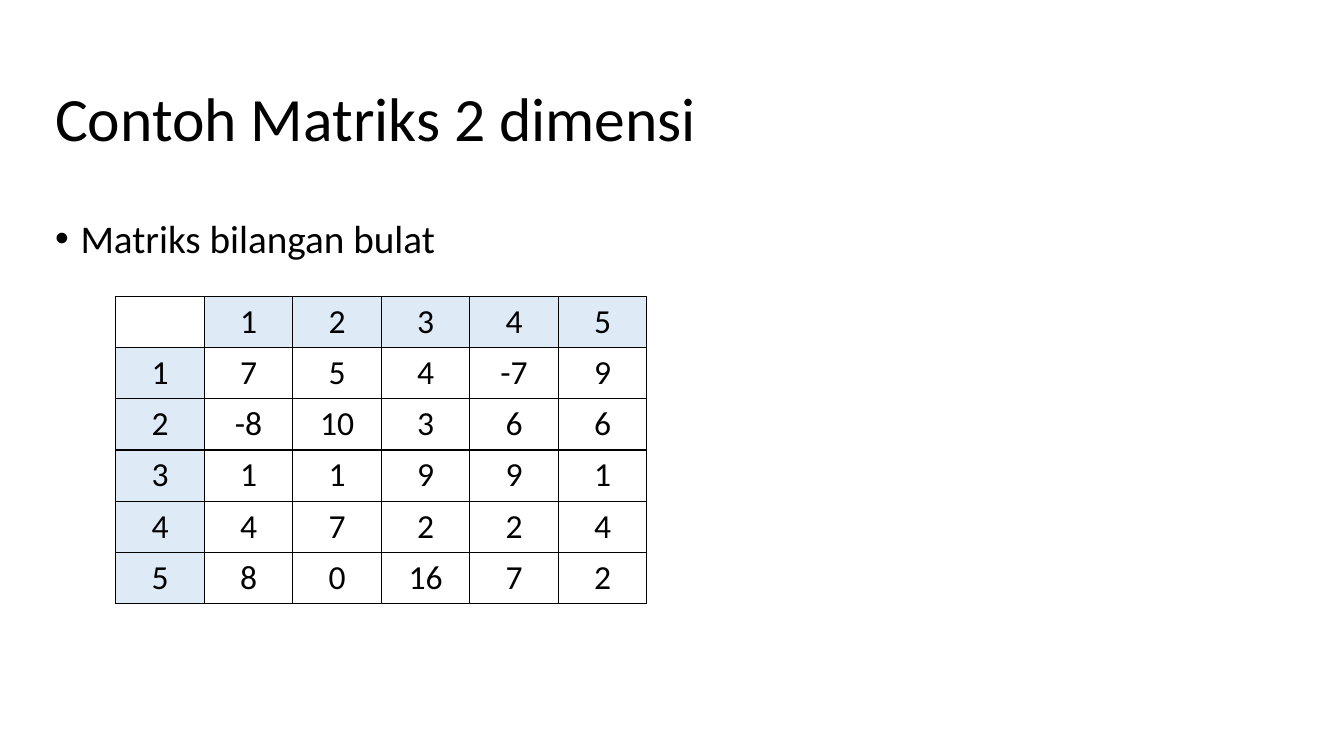
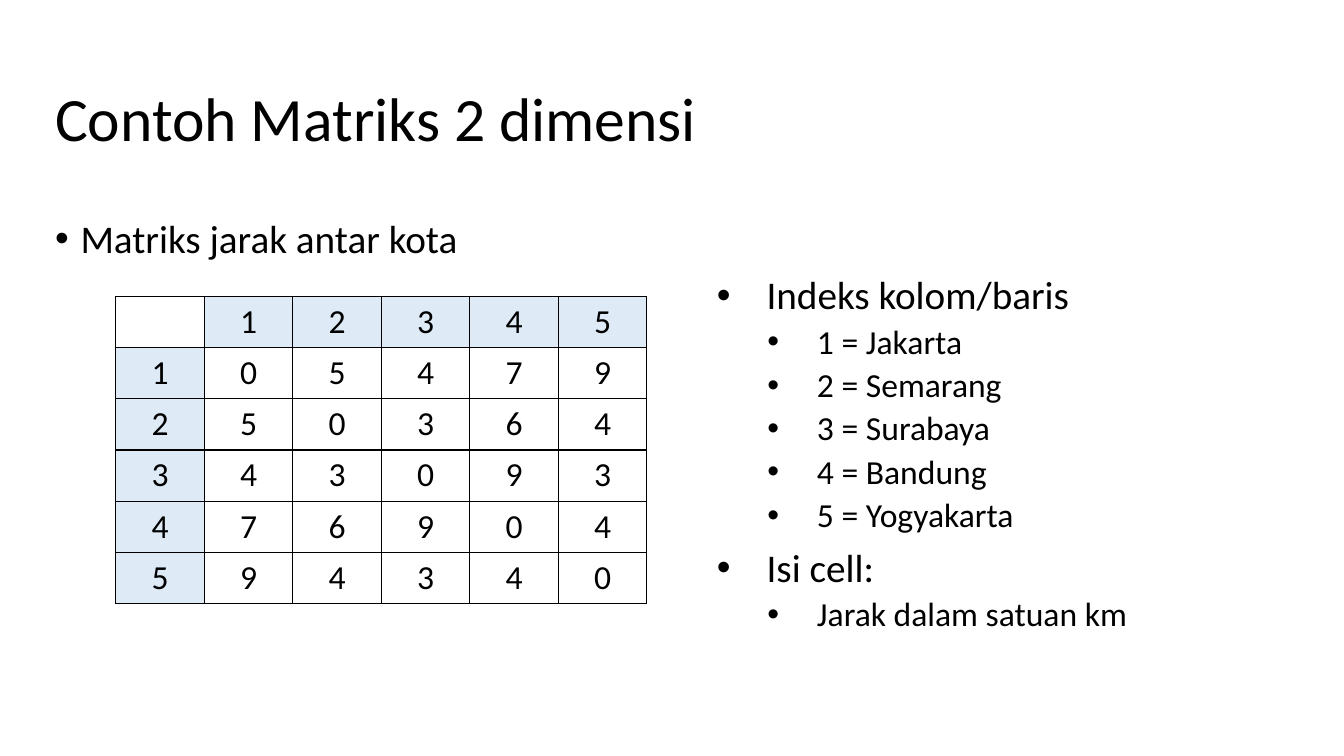
from pptx import Presentation
from pptx.dml.color import RGBColor
from pptx.enum.text import MSO_ANCHOR, PP_ALIGN
from pptx.oxml import parse_xml
from pptx.oxml.ns import nsdecls
from pptx.util import Cm, Pt

MIDDLE = MSO_ANCHOR.MIDDLE
LEFT, CENTER = PP_ALIGN.LEFT, PP_ALIGN.CENTER
COLORS = {"text": "000000", "border": "000000", "index": "DEEBF7"}
FONT = "Calibri"
TITLE = "Contoh Matriks 2 dimensi"
CELL_WIDTH, CELL_HEIGHT = Cm(2.23), Cm(1.29)
BULLETS = {
    "topic": {"size": 28, "before": 10, "indent": 0.64, "hang": 0.64},
    "legend": {"size": 28, "before": 10, "indent": 17.93, "hang": 1.25},
    "detail": {"size": 24, "before": 5, "indent": 19.2, "hang": 1.25, "level": 1},
}

MATRICES = [
    {
        "lines": [("topic", "Matriks bilangan bulat")],
        "values": [
            [7, 5, 4, -7, 9],
            [-8, 10, 3, 6, 6],
            [1, 1, 9, 9, 1],
            [4, 7, 2, 2, 4],
            [8, 0, 16, 7, 2],
        ],
    },
    {
        "lines": [
            ("topic", "Matriks jarak antar kota"),
            ("legend", "Indeks kolom/baris"),
            ("detail", "1 = Jakarta"),
            ("detail", "2 = Semarang"),
            ("detail", "3 = Surabaya"),
            ("detail", "4 = Bandung"),
            ("detail", "5 = Yogyakarta"),
            ("legend", "Isi cell:"),
            ("detail", "Jarak dalam satuan km"),
        ],
        "values": [
            [0, 5, 4, 7, 9],
            [5, 0, 3, 6, 4],
            [4, 3, 0, 9, 3],
            [7, 6, 9, 0, 4],
            [9, 4, 3, 4, 0],
        ],
    },
]


def write(text, paragraph, size, align=LEFT, spacing=None, before=0, level=0, indent=0, hang=0):
    paragraph.alignment = align
    paragraph.line_spacing = spacing
    paragraph.space_before = Pt(before)
    paragraph.level = level
    run = paragraph.add_run()
    run.text = text
    run.font.name = FONT
    run.font.size = Pt(size)
    run.font.color.rgb = RGBColor.from_string(COLORS["text"])
    if hang:
        properties = paragraph._p.get_or_add_pPr()
        properties.set("marL", str(Cm(indent)))
        properties.set("indent", str(-Cm(hang)))
        properties.append(parse_xml(f'<a:buFont {nsdecls("a")} typeface="Arial"/>'))
        properties.append(parse_xml(f'<a:buChar {nsdecls("a")} char="•"/>'))


def add_borders(cell):
    properties = cell._tc.get_or_add_tcPr()
    for position, side in enumerate(("lnL", "lnR", "lnT", "lnB")):
        properties.insert(position, parse_xml(
            f'<a:{side} {nsdecls("a")} w="{Pt(1)}"><a:solidFill>'
            f'<a:srgbClr val="{COLORS["border"]}"/></a:solidFill></a:{side}>'))


deck = Presentation()
deck.slide_width, deck.slide_height = Cm(33.87), Cm(19.05)
blank = deck.slide_layouts[6]

for matrix in MATRICES:
    slide = deck.slides.add_slide(blank)

    title = slide.shapes.add_textbox(Cm(1.14), Cm(1.22), Cm(29.21), Cm(3.68)).text_frame
    title.word_wrap = True
    title.vertical_anchor = MIDDLE
    write(TITLE, title.paragraphs[0], size=44, spacing=0.9)

    body = slide.shapes.add_textbox(Cm(1.14), Cm(5.41), Cm(31.67), Cm(12.09)).text_frame
    body.word_wrap = True
    for number, (kind, text) in enumerate(matrix["lines"]):
        paragraph = body.add_paragraph() if number else body.paragraphs[0]
        write(text, paragraph, spacing=0.9, **BULLETS[kind])

    values = matrix["values"]
    header = ["", *range(1, len(values[0]) + 1)]
    rows = [header] + [[index, *row] for index, row in enumerate(values, 1)]
    grid = slide.shapes.add_table(
        len(rows), len(header), Cm(2.92), Cm(7.47),
        CELL_WIDTH * len(header), CELL_HEIGHT * len(rows)).table
    grid.first_row = False
    grid.horz_banding = False
    for r, row in enumerate(rows):
        for c, value in enumerate(row):
            cell = grid.cell(r, c)
            if (r == 0) != (c == 0):
                cell.fill.solid()
                cell.fill.fore_color.rgb = RGBColor.from_string(COLORS["index"])
            else:
                cell.fill.background()
            add_borders(cell)
            if value != "":
                write(str(value), cell.text_frame.paragraphs[0], size=24, align=CENTER)

deck.save("out.pptx")
